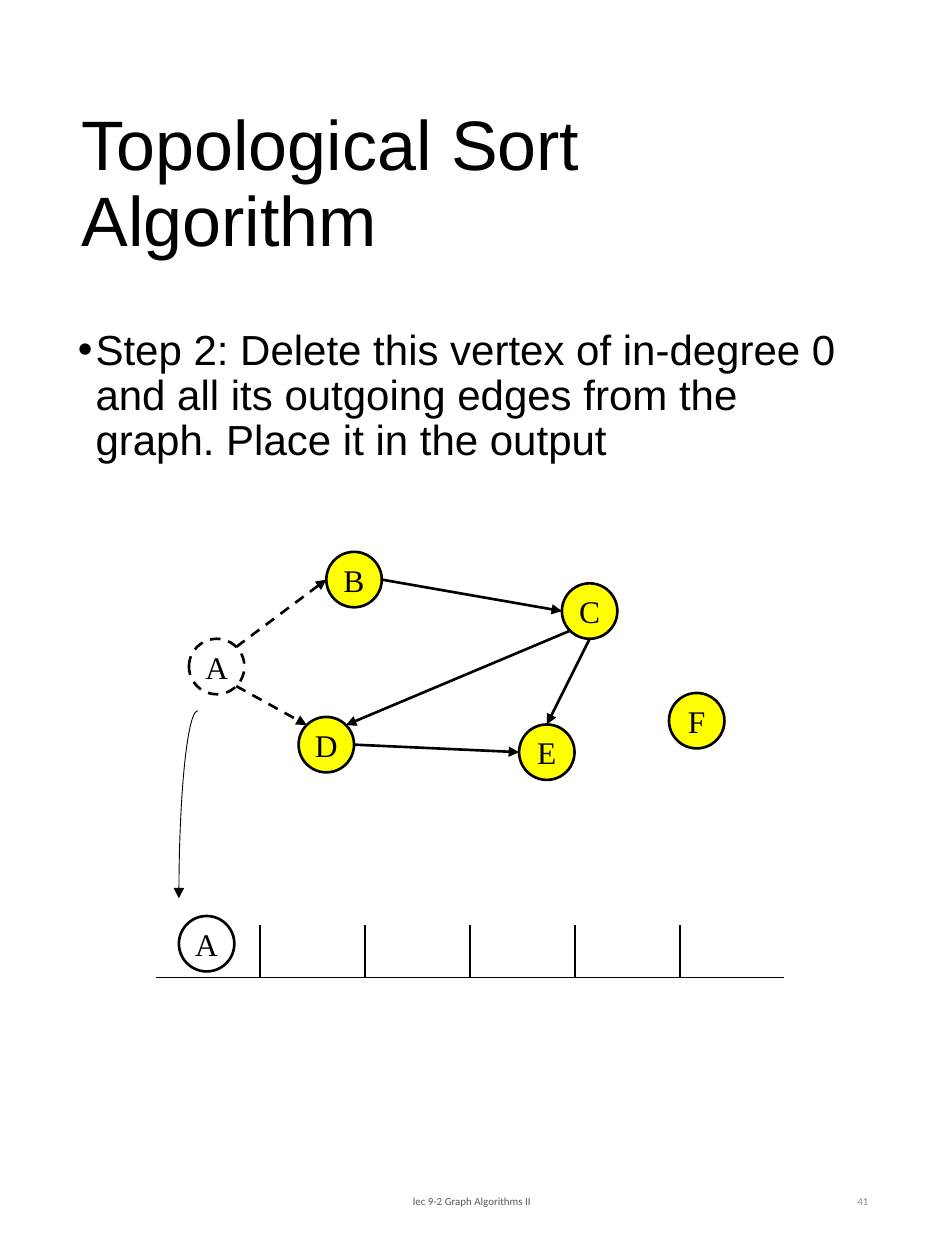
from math import cos, radians, sin

from pptx import Presentation
from pptx.dml.color import RGBColor
from pptx.enum.dml import MSO_LINE
from pptx.enum.shapes import MSO_CONNECTOR, MSO_SHAPE
from pptx.enum.text import MSO_ANCHOR, PP_ALIGN
from pptx.oxml.ns import qn
from pptx.util import Inches, Pt
from lxml.etree import SubElement, Element

BLACK = RGBColor(0x00, 0x00, 0x00)
WHITE = RGBColor(0xFF, 0xFF, 0xFF)
YELLOW = RGBColor(0xFF, 0xFF, 0x00)
FOOTER_GRAY = RGBColor(0x59, 0x59, 0x59)
NUMBER_GRAY = RGBColor(0x8C, 0x8C, 0x8C)

TITLE = "Topological Sort Algorithm"
STEP = ("Step 2: Delete this vertex of in-degree 0 and all its outgoing edges "
        "from the graph. Place it in the output")
FOOTER = "lec 9-2 Graph Algorithms II"
PAGE_NUMBER = "41"

DIAMETER = 0.44
# name: (left, top, fill, dashed)
VERTICES = {
    "A": (1.5, 5.07, None, True),
    "B": (2.59, 4.38, YELLOW, False),
    "C": (4.46, 4.63, YELLOW, False),
    "D": (2.37, 5.69, YELLOW, False),
    "E": (4.12, 5.75, YELLOW, False),
    "F": (5.31, 5.5, YELLOW, False),
}
# start vertex, angle on its rim, end vertex, angle on its rim, dashed
# (degrees clockwise from the right)
EDGES = [
    ("A", -45, "B", 180, True),
    ("A", 45, "D", 225, True),
    ("B", 0, "C", 180, False),
    ("C", 135, "D", -45, False),
    ("C", 90, "E", -90, False),
    ("D", 0, "E", 180, False),
]
OUTPUT_BOX = (1.23, 7.35, 5, 0.41)
OUTPUT_SLOTS = 6
OUTPUT_VERTEX = ("A", 1.42, 7.27)
MOVE_ARC = (1.42, 5.64, 0.3, 2.98)


def write_text(shape, text, size, font="Arial", color=BLACK, align=PP_ALIGN.LEFT,
               anchor=MSO_ANCHOR.MIDDLE, wrap=True, spacing=None, bullet_indent=None):
    frame = shape.text_frame
    frame.word_wrap = wrap
    frame.vertical_anchor = anchor
    paragraph = frame.paragraphs[0]
    paragraph.text = text
    paragraph.alignment = align
    if spacing:
        paragraph.line_spacing = spacing
    if bullet_indent:
        properties = paragraph._p.get_or_add_pPr()
        properties.set("marL", str(Inches(bullet_indent)))
        properties.set("indent", str(-Inches(bullet_indent)))
        SubElement(properties, qn("a:buFont"), typeface="Arial")
        SubElement(properties, qn("a:buChar"), char="•")
    paragraph.font.size = Pt(size)
    paragraph.font.name = font
    paragraph.font.color.rgb = color


def add_text(slide, box, text, size, **style):
    write_text(slide.shapes.add_textbox(*map(Inches, box)), text, size, **style)


def style_line(line, width=1.5, dashed=False, arrow=False):
    line.color.rgb = BLACK
    line.width = Pt(width)
    if dashed:
        line.dash_style = MSO_LINE.DASH
    if arrow:
        SubElement(line._get_or_add_ln(), qn("a:tailEnd"), type="triangle")


def add_vertex(slide, name, left, top, fill=None, dashed=False):
    circle = slide.shapes.add_shape(MSO_SHAPE.OVAL, Inches(left), Inches(top),
                                    Inches(DIAMETER), Inches(DIAMETER))
    circle.shadow.inherit = False
    if fill is None:
        circle.fill.background()
    else:
        circle.fill.solid()
        circle.fill.fore_color.rgb = fill
    style_line(circle.line, dashed=dashed)
    write_text(circle, name, 18, font="Times New Roman", align=PP_ALIGN.CENTER, wrap=False)


def rim_point(name, angle):
    left, top = VERTICES[name][:2]
    radius = DIAMETER / 2
    return (Inches(left + radius * (1 + cos(radians(angle)))),
            Inches(top + radius * (1 + sin(radians(angle)))))


def add_edge(slide, start, start_angle, end, end_angle, dashed):
    edge = slide.shapes.add_connector(MSO_CONNECTOR.STRAIGHT,
                                      *rim_point(start, start_angle),
                                      *rim_point(end, end_angle))
    style_line(edge.line, dashed=dashed, arrow=True)
    SubElement(edge._element.spPr, qn("a:effectLst"))


def set_borders(cell, **colors):
    """Draw 1 pt borders; keywords are L, R, T, B in that order."""
    properties = cell._tc.get_or_add_tcPr()
    for position, (side, color) in enumerate(colors.items()):
        border = Element(qn(f"a:ln{side}"), w=str(Pt(1)))
        fill = SubElement(border, qn("a:solidFill"))
        SubElement(fill, qn("a:srgbClr"), val=str(color))
        properties.insert(position, border)


def add_output_slots(slide):
    table = slide.shapes.add_table(1, OUTPUT_SLOTS, *map(Inches, OUTPUT_BOX)).table
    table.first_row = table.horz_banding = False
    for column in range(OUTPUT_SLOTS):
        cell = table.cell(0, column)
        cell.fill.background()
        set_borders(cell,
                    L=WHITE if column == 0 else BLACK,
                    R=WHITE if column == OUTPUT_SLOTS - 1 else BLACK,
                    T=WHITE, B=BLACK)


def add_move_arc(slide):
    arc = slide.shapes.add_shape(MSO_SHAPE.ARC, *map(Inches, MOVE_ARC))
    arc.shadow.inherit = False
    arc.fill.background()
    arc._element.spPr.find(qn("a:xfrm")).set("flipH", "1")
    style_line(arc.line, width=0.5, arrow=True)


def main():
    presentation = Presentation()
    presentation.slide_width = Inches(7.5)
    presentation.slide_height = Inches(10)
    slide = presentation.slides.add_slide(presentation.slide_layouts[6])

    add_text(slide, (0.55, 0.51, 6.47, 1.93), TITLE, 40, spacing=0.9)
    add_text(slide, (0.52, 2.56, 6.47, 6.34), STEP, 24, spacing=0.9,
             anchor=MSO_ANCHOR.TOP, bullet_indent=0.14)
    add_text(slide, (2.48, 9.27, 2.53, 0.53), FOOTER, 6.2, font="Calibri",
             color=FOOTER_GRAY, align=PP_ALIGN.CENTER)
    add_text(slide, (5.3, 9.27, 1.69, 0.53), PAGE_NUMBER, 6.2, font="Calibri",
             color=NUMBER_GRAY, align=PP_ALIGN.RIGHT)

    for name, vertex in VERTICES.items():
        add_vertex(slide, name, *vertex)
    for edge in EDGES:
        add_edge(slide, *edge)
    add_output_slots(slide)
    add_vertex(slide, *OUTPUT_VERTEX)
    add_move_arc(slide)

    presentation.save("out.pptx")


if __name__ == "__main__":
    main()
